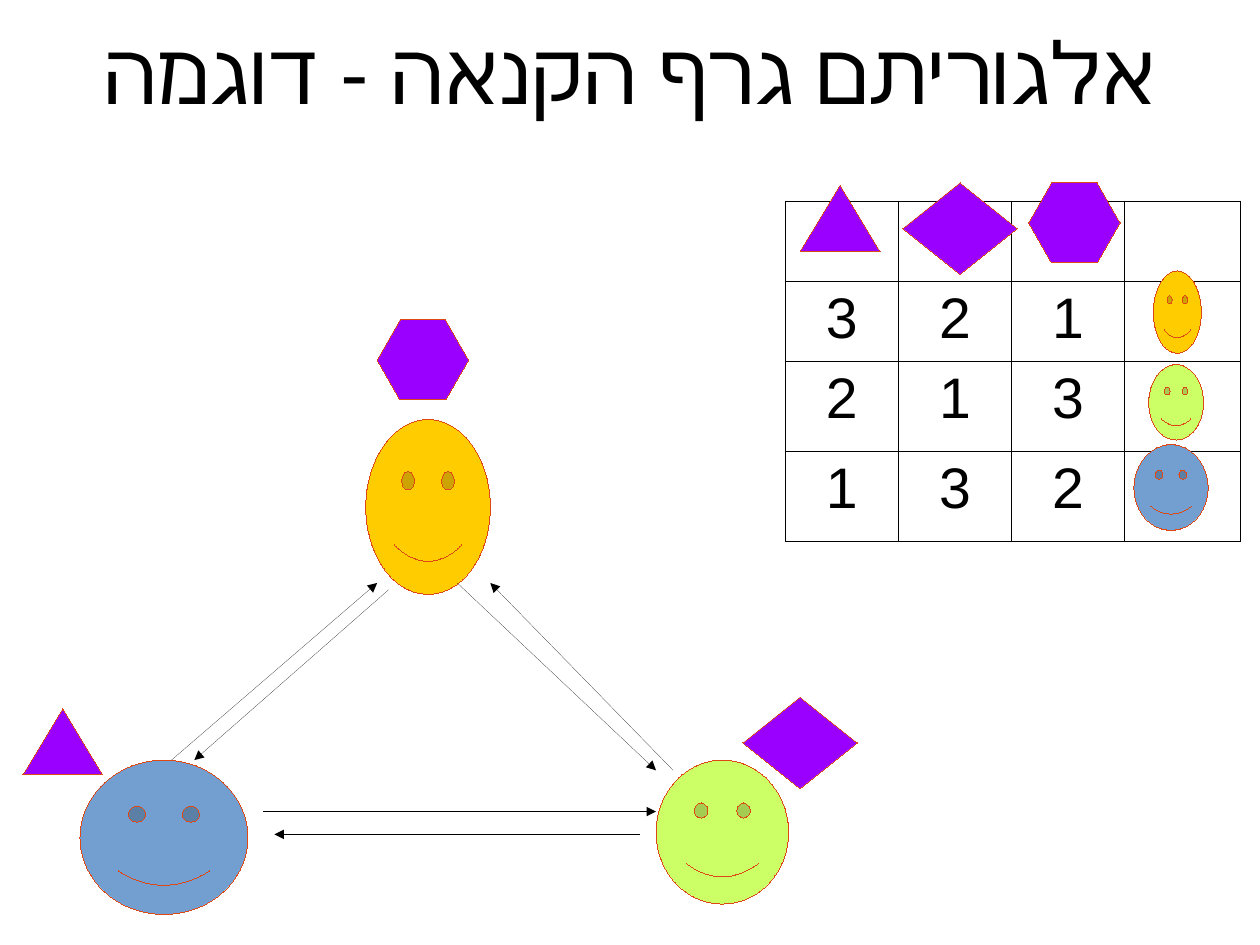
"""Build the envy-graph algorithm example slide."""
from lxml.etree import SubElement
from pptx import Presentation
from pptx.dml.color import RGBColor
from pptx.enum.shapes import MSO_CONNECTOR as Link, MSO_SHAPE as Shape
from pptx.enum.text import MSO_ANCHOR as Anchor, PP_ALIGN as Align
from pptx.oxml.ns import qn
from pptx.util import Cm, Emu, Pt

SCALE = 9144
FONT = "Arial"
BLACK = RGBColor(0x00, 0x00, 0x00)
ORANGE = RGBColor(0xDD, 0x48, 0x14)
PURPLE = RGBColor(0x99, 0x00, 0xFF)
YELLOW = RGBColor(0xFF, 0xCC, 0x00)
BLUE = RGBColor(0x72, 0x9F, 0xCF)
GREEN = RGBColor(0xCC, 0xFF, 0x66)

FACES = [
    (YELLOW, (320, 367, 109, 153)),
    (BLUE, (70, 665, 147, 135)),
    (GREEN, (574, 665, 116, 126)),
    (YELLOW, (1009, 237, 42, 72)),
    (GREEN, (1005, 319, 48, 66)),
    (BLUE, (992, 389, 65, 75)),
]
GOODS = [
    (Shape.ISOSCELES_TRIANGLE, (70, 58), [(700, 162), (20, 620)]),
    (Shape.DIAMOND, (100, 80), [(790, 160), (650, 610)]),
    (Shape.HEXAGON, (80, 70), [(900, 160), (330, 280)]),
]
ENVY_ARROWS = [
    ((589, 674), (429, 510)),
    ((150, 665), (330, 510)),
    ((400, 510), (574, 674)),
    ((340, 516), (170, 665)),
    ((230, 710), (574, 710)),
    ((560, 730), (240, 730)),
]
COLUMN_WIDTHS = [99, 99, 99, 101]
ROW_HEIGHTS = [70, 70, 79, 79]
RANKINGS = ["321", "213", "132"]


def px(*lengths):
    """Turn whole px into EMU."""
    return [Emu(length * SCALE) for length in lengths]


def add_words(paragraph, words, size):
    """Add one centred black run to a paragraph."""
    paragraph.alignment = Align.CENTER
    run = paragraph.add_run()
    run.text = words
    run.font.size = Pt(size)
    run.font.name = FONT
    run.font.color.rgb = BLACK


def add_title(slide, words):
    """Add the right-to-left heading."""
    heading = slide.shapes.add_textbox(*px(0, -10, 1102, 142)).text_frame
    heading.word_wrap = True
    heading.vertical_anchor = Anchor.MIDDLE
    heading.margin_left = heading.margin_right = 0
    heading.margin_top = heading.margin_bottom = 0
    paragraph = heading.paragraphs[0]
    add_words(paragraph, words, 54)
    paragraph._p.get_or_add_pPr().set("rtl", "1")


def set_hairline(line, color):
    """Give a line its colour and the thinnest width, and return its XML."""
    line.color.rgb = color
    outline = line._get_or_add_ln()
    outline.set("w", "0")
    return outline


def add_figure(slide, kind, box, color):
    """Add a filled preset shape with a hairline outline."""
    figure = slide.shapes.add_shape(kind, *px(*box))
    figure.shadow.inherit = False
    figure.fill.solid()
    figure.fill.fore_color.rgb = color
    set_hairline(figure.line, ORANGE)
    return figure


def add_good(slide, kind, box):
    """Add one of the divided goods."""
    good = add_figure(slide, kind, box, PURPLE)
    if kind == Shape.HEXAGON:
        good.adjustments[0] = 0.286


def add_arrow(slide, start, end):
    """Add a hairline arrow of envy."""
    arrow = slide.shapes.add_connector(Link.STRAIGHT, *px(*start, *end))
    outline = set_hairline(arrow.line, BLACK)
    SubElement(outline, qn("a:tailEnd"), type="triangle")
    SubElement(arrow._element.spPr, qn("a:effectLst"))


def add_borders(cell):
    """Draw thin black borders round an unfilled cell."""
    properties = cell._tc.get_or_add_tcPr()
    for side in ("lnL", "lnR", "lnT", "lnB"):
        border = SubElement(properties, qn(f"a:{side}"), w=str(Pt(0.57)))
        paint = SubElement(border, qn("a:solidFill"))
        SubElement(paint, qn("a:srgbClr"), val=str(BLACK))
    cell.fill.background()


def add_ranking_table(slide):
    """Add the table of how each person ranks the goods."""
    size = sum(COLUMN_WIDTHS), sum(ROW_HEIGHTS)
    table = slide.shapes.add_table(
        len(ROW_HEIGHTS), len(COLUMN_WIDTHS), *px(687, 176, *size)).table
    table.first_row = table.horz_banding = False
    for column, width in zip(table.columns, px(*COLUMN_WIDTHS)):
        column.width = width
    for row, height in zip(table.rows, px(*ROW_HEIGHTS)):
        row.height = height
    for cell in table.iter_cells():
        add_borders(cell)
    for row, ranking in enumerate(RANKINGS, 1):
        for column, rank in enumerate(ranking):
            add_words(table.cell(row, column).text_frame.paragraphs[0], rank, 36)


def main():
    """Build and save the slide."""
    deck = Presentation()
    deck.slide_width = Cm(28)
    deck.slide_height = Cm(21)
    slide = deck.slides.add_slide(deck.slide_layouts[6])
    add_title(slide, "אלגוריתם גרף הקנאה - דוגמה")
    add_ranking_table(slide)
    for color, box in FACES:
        add_figure(slide, Shape.SMILEY_FACE, box, color)
    for kind, size, corners in GOODS:
        for corner in corners:
            add_good(slide, kind, corner + size)
    for start, end in ENVY_ARROWS:
        add_arrow(slide, start, end)
    deck.save("out.pptx")


if __name__ == "__main__":
    main()
